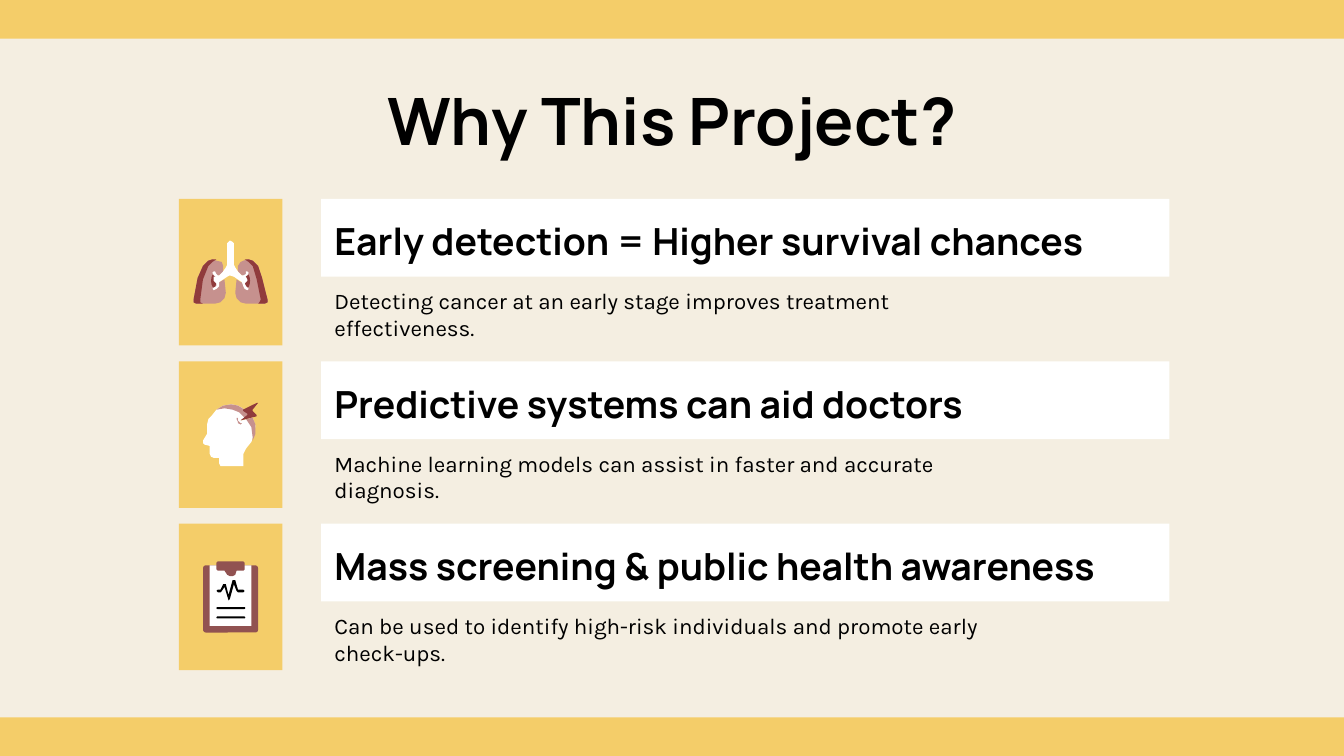
"""Build the slide on why the project matters, with three illustrated reasons."""
from pptx import Presentation
from pptx import util as u
from pptx.dml.color import RGBColor
from pptx.enum import shapes, text

GOLD = RGBColor(0xF4, 0xCD, 0x69)
CREAM = RGBColor(0xF4, 0xEE, 0xE1)
WHITE = RGBColor(0xFF, 0xFF, 0xFF)
BLACK = RGBColor(0, 0, 0)
PINK = RGBColor(0xC6, 0x91, 0x8E)
RED = RGBColor(0x90, 0x3B, 0x3C)
BROWN = RGBColor(0x91, 0x52, 0x51)

RECT = shapes.MSO_SHAPE.RECTANGLE
ROUND = shapes.MSO_SHAPE.ROUNDED_RECTANGLE
OVAL = shapes.MSO_SHAPE.OVAL
UNIT = u.Cm(2.54) / 100
WIDE, HIGH = 25.4, 14.29
BAND = 0.73
CARD, LEFT = 3.38, 6.07
TOP, STEP = 3.76, 3.07
MIRROR = 77

LOBE = [(25, 45), (22, 46), (18, 50), (14.5, 59), (11, 75), (11.3, 77), (13, 78),
        (27, 78), (31, 77), (34, 74), (35, 70), (34, 60), (30.5, 62.3), (26, 63),
        (26, 58), (30, 57), (33, 54), (33, 50), (31.5, 47), (28.5, 45.5)]
RIM = LOBE[:7] + [(18, 78), (16.5, 77), (16, 75), (18.5, 60), (22, 50.5),
                  (25, 47), (28, 45)]
AIRWAY = [(38.5, 31), (36.6, 31.7), (36, 33), (36, 49), (35, 51), (33, 54), (31, 56),
          (30, 57), (29, 57), (27.5, 56), (27, 54), (26, 54), (25, 55), (26, 57),
          (28, 58), (26.5, 58.5), (26, 59.5), (26, 61), (26.6, 62.5), (28, 63),
          (27.5, 65), (26, 66), (25, 67), (26, 68), (28, 67), (29.5, 65), (30, 62),
          (33, 60.5), (36, 58), (38.5, 57)]
HEAD = [(39, 32), (33, 33), (28, 36), (24, 41), (22, 43), (21, 47), (21, 54), (18, 59),
        (18, 61), (19, 62), (23, 63), (23, 69), (24, 71), (26, 72), (30, 72), (30, 76),
        (30.6, 77.5), (32, 78), (47, 78), (48, 77.5), (48, 69), (48.6, 67), (50, 65),
        (54, 60), (56.5, 54), (57, 48), (55, 42), (47, 44), (46, 44), (52, 39),
        (48, 36), (49, 36), (44, 33)]
CROWN = [(39, 32), (44, 33), (49, 36), (48, 36), (52, 39), (49, 42), (45, 38),
         (40, 36), (34, 35), (28, 36), (33, 33)]
NAPE = [(55, 42), (50, 43), (54, 49), (55, 57), (55, 59), (57, 54), (57, 47)]
BOLT = [(59, 31), (58, 31), (48, 36), (48, 37), (51, 39), (51, 40), (46, 44),
        (46.3, 44.5), (58, 41), (58.5, 40), (55, 37), (55, 36)]
ARC = [(43, 42), (43, 43), (43.5, 45), (44.5, 46.5), (46, 47), (47, 46.5),
       (46.5, 46), (45, 45.3), (44.3, 44), (44, 43), (43.5, 42)]
CLIP = [(29, 28), (48, 28), (49, 29), (49, 34), (48, 35), (43, 35), (42.3, 37.5),
        (40, 39), (38, 39), (35.5, 37.5), (34, 35), (29, 35), (28, 34), (28, 29)]
PULSE = [(29, 49), (31, 49), (33, 45), (35, 45), (37, 53), (40, 42), (42, 42), (44, 49),
         (48, 49), (49, 50), (48, 51), (44, 51), (43, 50), (41, 45), (38, 56), (37, 57),
         (34, 47), (32, 50), (31, 51), (29, 51), (28, 50)]


def paint(shape, fill):
    """Give a shape a flat fill without line or shadow."""
    shape.shadow.inherit = False
    shape.fill.solid()
    shape.fill.fore_color.rgb = fill
    shape.line.fill.background()
    return shape


def block(slide, x, y, w, h, fill):
    """Add a plain rectangle measured in centimetres."""
    box = map(u.Cm, (x, y, w, h))
    return paint(slide.shapes.add_shape(RECT, *box), fill)


def write(shape, words, face, size, bold=False, align=text.PP_ALIGN.LEFT,
          anchor=text.MSO_ANCHOR.TOP):
    """Set one styled paragraph in a shape."""
    frame = shape.text_frame
    frame.word_wrap = True
    frame.vertical_anchor = anchor
    frame.margin_left = frame.margin_right = u.Cm(0.25)
    frame.margin_top = frame.margin_bottom = u.Cm(0.25)
    para = frame.paragraphs[0]
    para.text, para.alignment = words, align
    font = para.font
    font.name, font.size, font.bold = face, u.Pt(size), bold
    font.color.rgb = BLACK


def label(slide, x, y, w, h, *style, **more):
    """Add a text box measured in centimetres."""
    write(slide.shapes.add_textbox(*map(u.Cm, (x, y, w, h))), *style, **more)


def trace(group, top, points, fill):
    """Draw a closed outline relative to a card."""
    pen = group.shapes.build_freeform(*points[0], scale=UNIT)
    pen.add_line_segments(points[1:])
    paint(pen.convert_to_shape(u.Cm(CARD), u.Cm(top)), fill)


def piece(group, top, kind, x, y, w, h, fill):
    """Add a preset shape relative to a card."""
    x, y, w, h = (round(n * UNIT) for n in (x, y, w, h))
    shape = group.shapes.add_shape(kind, u.Cm(CARD) + x, u.Cm(top) + y, w, h)
    return paint(shape, fill)


def flip(points):
    """Mirror points across the middle of the lungs."""
    return [(MIRROR - x, y) for x, y in points]


def lungs(group, top):
    """Draw the lungs."""
    for points, fill in ((LOBE, PINK), (RIM, RED)):
        trace(group, top, points, fill)
        trace(group, top, flip(points), fill)
    for x in (24, 49):
        piece(group, top, OVAL, x, 56, 4, 10, RED)
    trace(group, top, AIRWAY + flip(AIRWAY)[::-1], WHITE)


def head(group, top):
    """Draw the head with a bolt."""
    for points, fill in ((HEAD, WHITE), (CROWN, PINK), (NAPE, PINK),
                         (BOLT, RED), (ARC, PINK)):
        trace(group, top, points, fill)


def chart(group, top):
    """Draw the clipboard."""
    board = piece(group, top, ROUND, 18, 31, 41, 50, BROWN)
    board.adjustments[0] = 0.05
    piece(group, top, RECT, 23, 31, 31, 45, WHITE)
    trace(group, top, CLIP, BROWN)
    trace(group, top, PULSE, BLACK)
    for y in (62, 69):
        bar = piece(group, top, ROUND, 28, y, 21.5, 1.5, BLACK)
        bar.adjustments[0] = 0.5


ROWS = [
    (lungs, "Early detection = Higher survival chances",
     "Detecting cancer at an early stage improves treatment effectiveness."),
    (head, "Predictive systems can aid doctors",
     "Machine learning models can assist in faster and accurate diagnosis."),
    (chart, "Mass screening & public health awareness",
     "Can be used to identify high-risk individuals and promote early check-ups."),
]


def reason(slide, top, draw, title, note):
    """Add a card with its icon, heading and note."""
    block(slide, CARD, top, 1.96, 2.77, GOLD)
    write(block(slide, LEFT, top, 16.03, 1.47, WHITE), title, "Manrope", 20,
          bold=True, anchor=text.MSO_ANCHOR.BOTTOM)
    label(slide, LEFT, top + 1.42, 13.72, 1.35, note, "Karla", 12)
    draw(slide.shapes.add_group_shape(), top)


def main():
    """Build and save the slide."""
    deck = Presentation()
    deck.slide_width, deck.slide_height = u.Cm(WIDE), u.Cm(HIGH)
    slide = deck.slides.add_slide(deck.slide_layouts[6])
    back = slide.background.fill
    back.solid()
    back.fore_color.rgb = CREAM
    for y in (0, HIGH - BAND):
        block(slide, 0, y, WIDE, BAND, GOLD)
    label(slide, 2, 1.27, 21.4, 1.88, "Why This Project?", "Manrope", 35,
          bold=True, align=text.PP_ALIGN.CENTER)
    for i, row in enumerate(ROWS):
        reason(slide, TOP + i * STEP, *row)
    deck.save("out.pptx")


if __name__ == "__main__":
    main()
